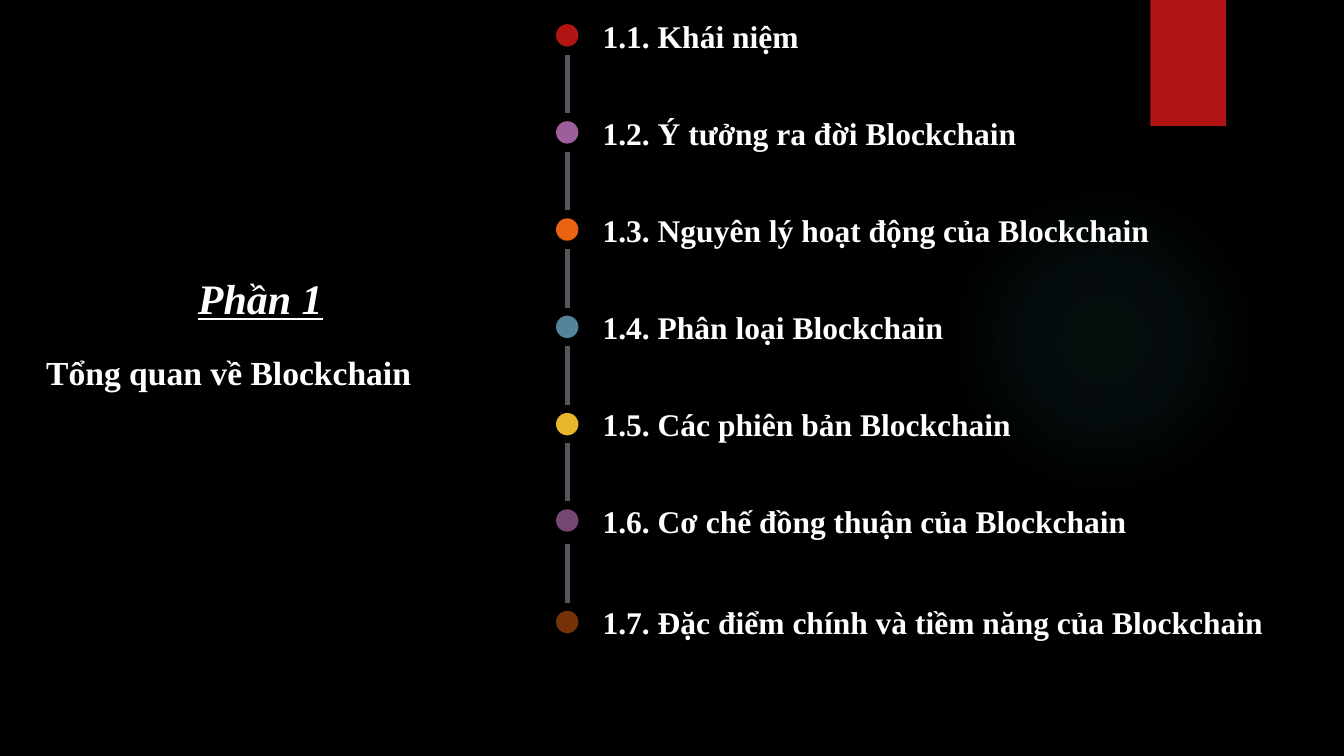
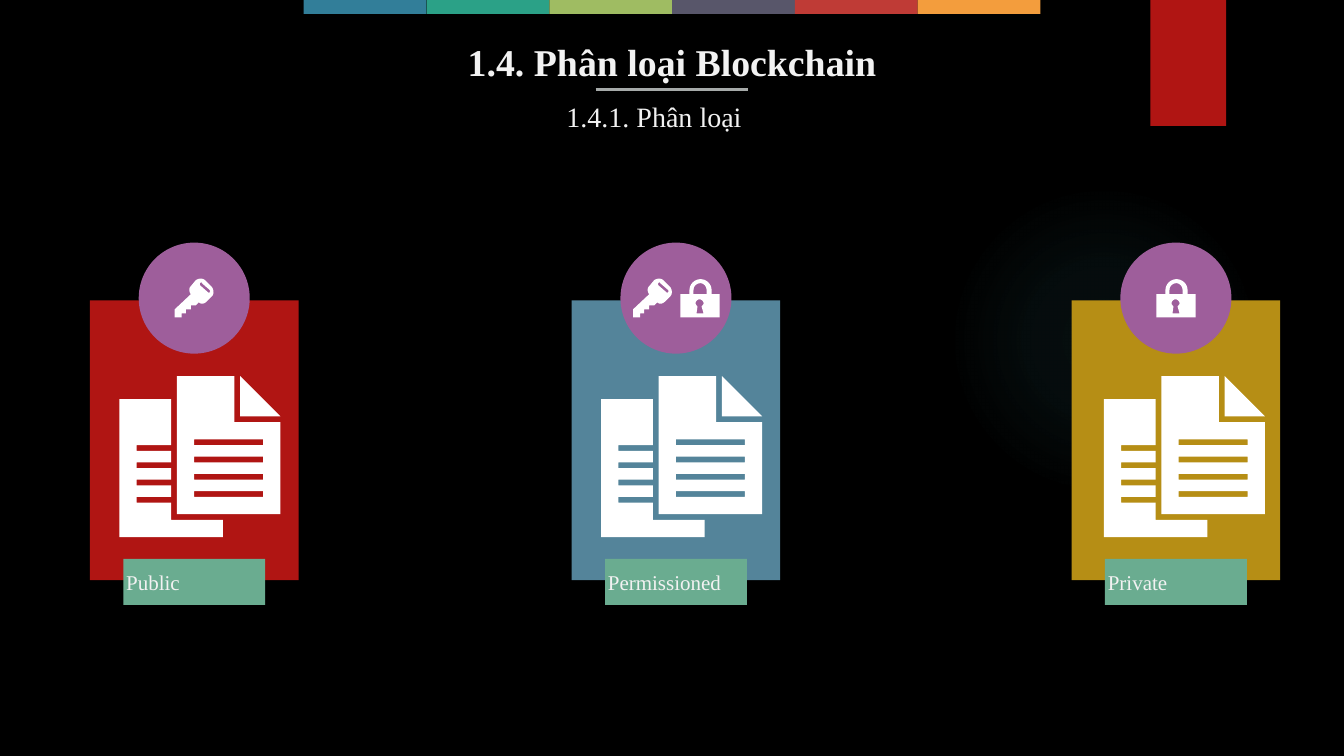
import lxml.etree
import pptx
import pptx.dml.color
import pptx.enum.shapes
import pptx.enum.text
import pptx.oxml
import pptx.oxml.ns
import pptx.util

Pt = pptx.util.Pt
SHAPE = pptx.enum.shapes.MSO_SHAPE
ALIGN = pptx.enum.text.PP_ALIGN
ANCHOR = pptx.enum.text.MSO_ANCHOR

BLACK, WHITE, PALE = "000000", "FFFFFF", "F2F2F2"
RED, PURPLE, BLUE, GREEN = "B01513", "9E5E9B", "54849A", "6AAC90"
GLOW, RAIL, RULE = "50B9C1", "53585F", "A6AAA9"

FONT = "Times New Roman"
PART = {"name": FONT, "size": Pt(30), "bold": True, "italic": True, "underline": True}
PART_TITLE = {"name": FONT, "size": Pt(24), "bold": True}
TOPIC = {"name": FONT, "size": Pt(22.5), "bold": True}
TITLE = {"name": FONT, "size": Pt(27), "bold": True}
SUBTITLE = {"name": FONT, "size": Pt(20)}
LABEL = {"name": FONT, "size": Pt(15)}
WIDE_INSET, SLIM_INSET = (7.2, 3.6), (2, 2)

TOPICS = [
    (17.3, RED, "1.1. Khái niệm"),
    (86.6, PURPLE, "1.2. Ý tưởng ra đời Blockchain"),
    (156, "EA6312", "1.3. Nguyên lý hoạt động của Blockchain"),
    (225.5, BLUE, "1.4. Phân loại Blockchain"),
    (295, "E6B729", "1.5. Các phiên bản Blockchain"),
    (363.8, "764674", "1.6. Cơ chế đồng thuận của Blockchain"),
    (436.3, "753209", "1.7. Đặc điểm chính và tiềm năng của Blockchain"),
]
BANDS = ["327E99", "2BA187", "9FBC62", "58566A", "BF3B36", "F39D3D"]


def bar(left, top, right):
    return [(left, top), (right, top), (right, top + 1), (left, top + 1)]


def back_page():
    points = [(9, 4), (0, 4), (0, 28), (18, 28), (18, 25), (9, 25)]
    for top in (21, 18, 15, 12):
        points += [(9, top + 1), (3, top + 1), (3, top), (9, top)]
    return points


DOCUMENTS = [
    [(20, 0), (10, 0), (10, 24), (28, 24), (28, 8), (20, 8)],
    *[bar(13, top, 25) for top in (11, 14, 17, 20)],
    [(21, 0), (21, 7), (28, 7)],
    back_page(),
]
LOCK = [
    [(31, 15), (31, 11), (31, 5, 26, 0, 20, 0), (14, 0, 9, 5, 9, 11),
     (9, 15), (0, 15), (0, 38), (39, 38), (39, 15)],
    [(23, 34), (16, 34), (17, 27), (16, 26, 15, 25, 15, 24),
     (15, 22, 17, 20, 19, 20), (21, 20, 23, 22, 23, 24), (23, 25, 22, 26, 21, 27)],
    [(26, 15), (13, 15), (13, 11), (13, 7, 16, 4, 20, 4), (23, 4, 26, 7, 26, 11)],
]
KEY = [
    [(37, 8), (30, 1), (28, -1, 24, -1, 21, 1), (16, 7), (14, 9, 14, 12, 16, 15),
     (0, 30), (0, 38), (7, 38), (7, 34), (11, 34), (11, 30), (16, 30), (16, 26),
     (21, 26), (24, 23), (26, 25, 29, 25, 32, 22), (37, 17), (39, 15, 39, 11, 37, 8)],
    [(35, 13), (34, 13.5, 33.5, 13.5, 33, 13), (25, 6), (25, 5, 25, 4, 25, 4),
     (26, 3, 27, 3, 27, 4), (35, 11), (35, 12, 35, 12, 35, 13)],
]
ICON_UNIT, DOCUMENT_UNIT = 0.72, 4.11

CARDS = [
    (64.3, RED, "Public", 21, [(KEY, 60.5)]),
    (408.4, BLUE, "Permissioned", 21, [(KEY, 43.8), (LOCK, 77.6)]),
    (765.5, "B68E15", "Private", 23, [(LOCK, 60.5)]),
]


def colour(value):
    return pptx.dml.color.RGBColor.from_string(value)


def paint(shape, fill):
    shape.shadow.inherit = False
    shape.fill.solid()
    shape.fill.fore_color.rgb = colour(fill)
    shape.line.fill.background()
    return shape


def add_block(page, kind, left, top, width, height, fill):
    shape = page.shapes.add_shape(kind, Pt(left), Pt(top), Pt(width), Pt(height))
    return paint(shape, fill)


def write(box, text, style, ink, inset, anchor=ANCHOR.TOP, align=ALIGN.LEFT):
    frame = box.text_frame
    across, down = inset
    formats = {
        "word_wrap": True, "vertical_anchor": anchor,
        "margin_left": Pt(across), "margin_right": Pt(across),
        "margin_top": Pt(down), "margin_bottom": Pt(down),
    }
    for name, value in formats.items():
        setattr(frame, name, value)
    para = frame.paragraphs[0]
    para.alignment = align
    span = para.add_run()
    span.text = text
    for name, value in style.items():
        setattr(span.font, name, value)
    span.font.color.rgb = colour(ink)


def add_text(page, left, top, width, height, *content, **layout):
    box = page.shapes.add_textbox(Pt(left), Pt(top), Pt(width), Pt(height))
    write(box, *content, **layout)


def add_line(page, start, end, ink, weight):
    line = page.shapes.add_connector(
        pptx.enum.shapes.MSO_CONNECTOR.STRAIGHT, *map(Pt, start + end))
    line.line.color.rgb = colour(ink)
    line.line.width = Pt(weight)
    lxml.etree.SubElement(line._element.spPr, pptx.oxml.ns.qn("a:effectLst"))


def flatten(contour, steps=8):
    points = []
    for item in contour:
        if len(item) == 2:
            points.append(item)
            continue
        corners = [points[-1], item[:2], item[2:4], item[4:]]
        for step in range(1, steps + 1):
            t = step / steps
            weights = ((1 - t) ** 3, 3 * t * (1 - t) ** 2, 3 * t * t * (1 - t), t ** 3)
            points.append(tuple(
                sum(weight * corner[axis] for weight, corner in zip(weights, corners))
                for axis in (0, 1)))
    return points


def add_icon(page, contours, left, top, unit):
    builder = None
    for contour in contours:
        points = [(Pt(x * unit), Pt(y * unit)) for x, y in flatten(contour)]
        if builder is None:
            builder = page.shapes.build_freeform(*points[0])
        else:
            builder.move_to(*points[0])
        builder.add_line_segments(points[1:], close=True)
    paint(builder.convert_to_shape(Pt(left), Pt(top)), WHITE)


def add_glow(page):
    glow = add_block(page, SHAPE.OVAL, 677.5, 131.8, 221.8, 221.8, GLOW)
    stops = "".join(
        f'<a:gs pos="{place * 1000}"><a:srgbClr val="{GLOW}">'
        f'<a:alpha val="{alpha * 1000}"/></a:srgbClr></a:gs>'
        for place, alpha in ((0, 7), (36, 6), (69, 0), (100, 0)))
    gradient = pptx.oxml.parse_xml(
        f'<a:gradFill {pptx.oxml.ns.nsdecls("a")} rotWithShape="1"><a:gsLst>{stops}</a:gsLst>'
        '<a:path path="circle"><a:fillToRect l="50000" t="50000" r="50000" b="50000"/>'
        '</a:path></a:gradFill>')
    properties = glow._element.spPr
    properties.replace(properties.find(pptx.oxml.ns.qn("a:solidFill")), gradient)


def add_page(deck):
    page = deck.slides.add_slide(deck.slide_layouts[6])
    add_glow(page)
    add_block(page, SHAPE.RECTANGLE, 821.8, 0, 54, 90, RED)
    return page


def add_topic(page, top, fill, text):
    add_block(page, SHAPE.OVAL, 397.2, top, 16, 16, fill)
    add_text(page, 428.4, top - 7.5, 490, 31, text, TOPIC, WHITE, SLIM_INSET,
             anchor=ANCHOR.MIDDLE)


def add_card(page, left, fill, name, document_shift, icons):
    add_block(page, SHAPE.RECTANGLE, left, 214.6, 149, 199.8, fill)
    add_block(page, SHAPE.OVAL, left + 34.8, 173.3, 79.3, 79.3, PURPLE)
    label = add_block(page, SHAPE.RECTANGLE, left + 23.8, 399.2, 101.3, 33, GREEN)
    write(label, name, LABEL, PALE, SLIM_INSET, anchor=ANCHOR.MIDDLE)
    for icon, shift in icons:
        add_icon(page, icon, left + shift, 199.4, ICON_UNIT)
    add_icon(page, DOCUMENTS, left + document_shift, 268.6, DOCUMENT_UNIT)


def build_contents(deck):
    page = add_page(deck)
    add_text(page, 139.4, 192.5, 100, 40, "Phần 1", PART, WHITE, SLIM_INSET,
             anchor=ANCHOR.MIDDLE)
    add_text(page, 25.9, 247.7, 356, 36, "Tổng quan về Blockchain", PART_TITLE, WHITE,
             WIDE_INSET)
    for topic in TOPICS:
        add_topic(page, *topic)
    for top, _, _ in TOPICS[1:]:
        add_line(page, (405.3, top - 47.5), (405.3, top - 5.8), RAIL, 3)


def build_types(deck):
    page = add_page(deck)
    for index, fill in enumerate(BANDS):
        add_block(page, SHAPE.RECTANGLE, 217 + index * 87.7, 0, 87.7, 10, fill)
    add_line(page, (425.5, 64), (534.3, 64), RULE, 2)
    add_text(page, 218, 23.8, 524, 33, "1.4. Phân loại Blockchain", TITLE, PALE,
             WIDE_INSET, align=ALIGN.CENTER)
    add_text(page, 397.5, 67.7, 165, 31, "1.4.1. Phân loại", SUBTITLE, PALE, WIDE_INSET)
    for card in CARDS:
        add_card(page, *card)


def main():
    deck = pptx.Presentation()
    deck.slide_width, deck.slide_height = Pt(960), Pt(540)
    backdrop = deck.slide_master.background.fill
    backdrop.solid()
    backdrop.fore_color.rgb = colour(BLACK)
    build_contents(deck)
    build_types(deck)
    deck.save("out.pptx")


if __name__ == "__main__":
    main()
